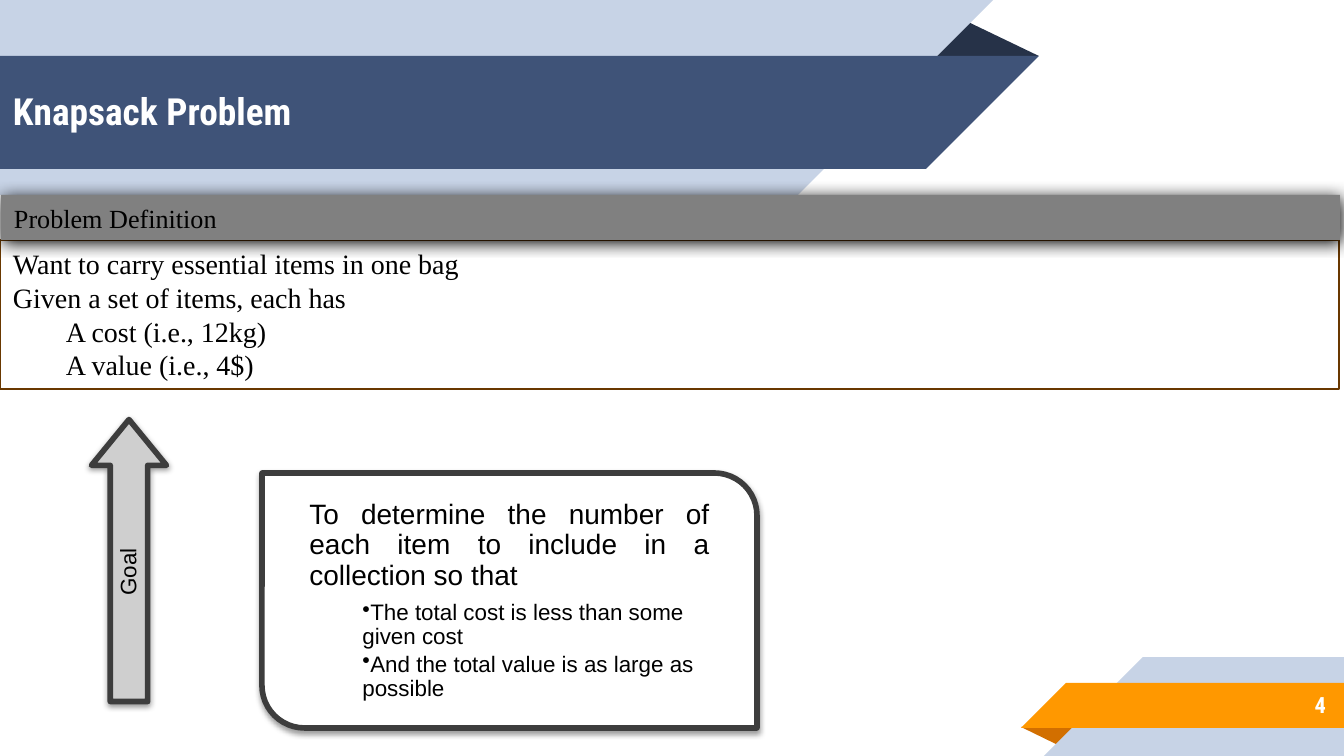
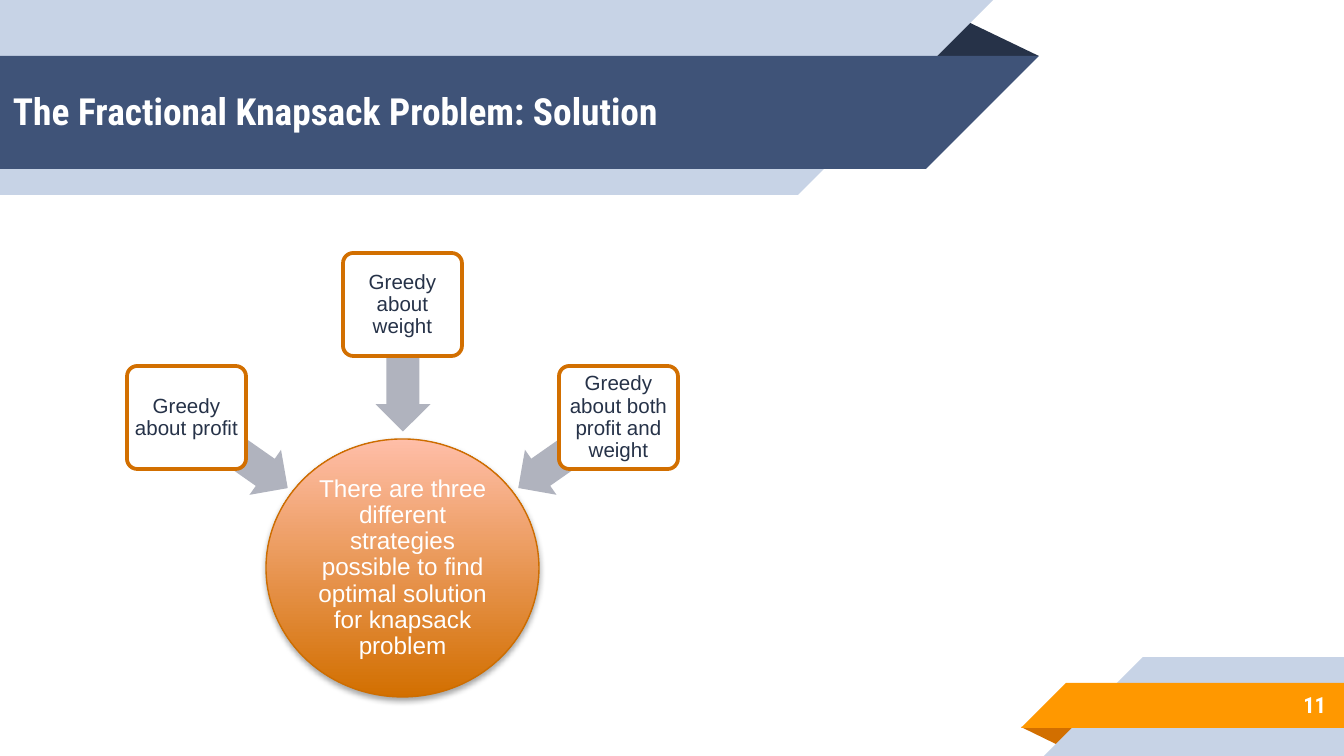
from lxml.etree import SubElement
from pptx import Presentation
from pptx.dml.color import RGBColor
from pptx.enum.shapes import MSO_SHAPE as Shape
from pptx.enum.text import MSO_ANCHOR as Anchor, PP_ALIGN as Align
from pptx.oxml.ns import qn
from pptx.util import Emu, Pt

EMU_PER_PX = 9144000 / 1344
WIDTH, HEIGHT = 1344, 756

WHITE, BLACK = "FFFFFF", "000000"
PALE, BLUE, NAVY = "C7D3E6", "3F5378", "263248"
ORANGE, RUST = "FF9800", "D26F00"
CHARCOAL = "3D3D3D"
HEADING, SANS, SERIF = "Roboto Condensed", "Arial", "Times New Roman"

# Polygons from back to front: colour and corner points
RIBBONS = [
    (NAVY, [(962, 19), (1039, 56), (925, 56)]),
    (PALE, [(0, 0), (993, 0), (798, 195), (0, 195)]),
    (BLUE, [(0, 56), (1039, 56), (926, 169), (0, 169)]),
    (RUST, [(1021, 727), (1079, 727), (1060, 746)]),
    (PALE, [(1143, 657), (1344, 657), (1344, 756), (1044, 756)]),
    (ORANGE, [(1066, 683), (1344, 683), (1344, 728), (1021, 728)]),
]


def px(value):
    return Emu(round(value * EMU_PER_PX))


def rgb(color):
    return RGBColor.from_string(color)


def set_frame(shape, margins, anchor):
    """Margins are left, top, right and bottom in px."""
    frame = shape.text_frame
    frame.word_wrap = True
    frame.vertical_anchor = anchor
    (frame.margin_left, frame.margin_top,
     frame.margin_right, frame.margin_bottom) = map(px, margins)


def write(shape, text, *, size, font=SANS, color=BLACK, bold=False,
          align=Align.LEFT, spacing=None, after=0, indent=0, bullet=None):
    """Append one paragraph; after is a share of the text size."""
    frame = shape.text_frame
    paragraph = frame.add_paragraph() if frame.text else frame.paragraphs[0]
    paragraph.alignment = align
    paragraph.line_spacing = spacing
    paragraph.space_after = Pt(size * after)
    run = paragraph.add_run()
    run.text = text
    run.font.name, run.font.size, run.font.bold = font, Pt(size), bold
    run.font.color.rgb = rgb(color)
    if indent:
        properties = paragraph._p.get_or_add_pPr()
        properties.set("marL", str(px(indent)))
        properties.set("indent", "0")
        if bullet:
            SubElement(properties, qn("a:buChar"), char=bullet)


def paint(shape, fill=None, line=None, line_width=1):
    shape.shadow.inherit = False
    if fill:
        shape.fill.solid()
        shape.fill.fore_color.rgb = rgb(fill)
    else:
        shape.fill.background()
    if line:
        shape.line.color.rgb = rgb(line)
        shape.line.width = Pt(line_width)
        SubElement(shape.line._get_or_add_ln(), qn("a:round"))
    else:
        shape.line.fill.background()


def cast_shadow(shape, opacity, blur, distance):
    """Black shadow falling downwards; opacity in percent, lengths in points."""
    effects = shape._element.spPr.find(qn("a:effectLst"))
    shadow = SubElement(effects, qn("a:outerShdw"), blurRad=str(Pt(blur)),
                        dist=str(Pt(distance)), dir="5400000", rotWithShape="0")
    color = SubElement(shadow, qn("a:srgbClr"), val=BLACK)
    SubElement(color, qn("a:alpha"), val=str(opacity * 1000))


def add_block(slide, kind, box, *, adjust=(), rotation=0,
              margins=(13, 7, 13, 7), anchor=Anchor.MIDDLE, **paint_options):
    shape = slide.shapes.add_shape(kind, *map(px, box))
    for index, value in enumerate(adjust):
        shape.adjustments[index] = value
    shape.rotation = rotation
    paint(shape, **paint_options)
    set_frame(shape, margins, anchor)
    return shape


def add_label(slide, box, text, **text_options):
    label = slide.shapes.add_textbox(*map(px, box))
    set_frame(label, (13, 13, 13, 13), Anchor.MIDDLE)
    write(label, text, font=HEADING, color=WHITE, bold=True, **text_options)


def add_ribbon(slide, color, points):
    builder = slide.shapes.build_freeform(*points[0], scale=EMU_PER_PX)
    builder.add_line_segments(points[1:], close=True)
    paint(builder.convert_to_shape(), fill=color)


def add_themed_slide(presentation, title, number):
    slide = presentation.slides.add_slide(presentation.slide_layouts[6])
    for color, points in RIBBONS:
        add_ribbon(slide, color, points)
    add_label(slide, (0, 54, 883, 113), title, size=20)
    add_label(slide, (1120, 681, 219, 47), str(number), size=12, align=Align.RIGHT)
    return slide


def add_goal(slide):
    tight = dict(spacing=0.9)
    card = add_block(slide, Shape.ROUND_2_DIAG_RECTANGLE, (262, 473, 495, 255),
                     adjust=(0, 0.167), margins=(35, 15, 35, 15),
                     anchor=Anchor.TOP, fill=WHITE, line=CHARCOAL, line_width=3)
    write(card, "To determine the number of each item to include in a "
          "collection so that", size=15, align=Align.JUSTIFY, after=0.35, **tight)
    for condition in ("The total cost is less than some given cost",
                      "And the total value is as large as possible"):
        write(card, condition, size=12, after=0.15, indent=53, bullet="•", **tight)

    arrow = add_block(slide, Shape.RIGHT_ARROW, (-12, 523, 282, 75),
                      adjust=(0.5, 0.61), rotation=270, margins=(7, 0, 7, 0),
                      fill="CFCFCF", line=CHARCOAL, line_width=3)
    write(arrow, "Goal", size=12, align=Align.CENTER, **tight)
    for shape in (card, arrow):
        cast_shadow(shape, 38, 3.1, 1.6)


def add_definition(slide):
    body = add_block(slide, Shape.RECTANGLE, (0, 240, 1339, 149),
                     anchor=Anchor.TOP, line="693800", line_width=0.75)
    for text, indent in (("Want to carry essential items in one bag", 0),
                         ("Given a set of items, each has", 0),
                         ("A cost (i.e., 12kg)", 53),
                         ("A value (i.e., 4$)", 53)):
        write(body, text, size=15, font=SERIF, indent=indent)
    header = add_block(slide, Shape.RECTANGLE, (1, 195, 1339, 45),
                       anchor=Anchor.TOP, fill="808080")
    write(header, "Problem Definition", size=14, font=SERIF)
    cast_shadow(header, 100, 8.5, 1)


def add_strategies(slide):
    centred = dict(align=Align.CENTER, spacing=0.9)
    circle = add_block(slide, Shape.OVAL, (266, 439, 273, 258),
                       margins=(1, 1, 1, 1), line="CD6D00", line_width=0.75)
    circle.fill.gradient()
    circle.fill.gradient_angle = 90
    for stop, color in zip(circle.fill.gradient_stops, (RUST, "FFBEA8")):
        stop.color.rgb = rgb(color)
    cast_shadow(circle, 35, 3.1, 1.8)
    write(circle, "There are three different strategies possible to find "
          "optimal solution for knapsack problem", size=13, color=WHITE, **centred)

    middle = 403
    strategies = [  # side, text, card top, arrow centre y, length, rotation
        (-1, "Greedy about profit", 366, 452, 124, 215),
        (0, "Greedy about weight", 253, 367, 128, 270),
        (1, "Greedy about both profit and weight", 366, 452, 124, 325),
    ]
    for side, text, top, arrow_y, length, rotation in strategies:
        arrow_x = middle + side * 166
        add_block(slide, Shape.LEFT_ARROW,
                  (arrow_x - length / 2, arrow_y - 27, length, 55),
                  adjust=(0.6, 0.5), rotation=rotation, fill="B0B3BE")
        card = add_block(slide, Shape.ROUNDED_RECTANGLE,
                         (middle + side * 216 - 60, top, 119, 103),
                         adjust=(0.1,), margins=(2, 2, 2, 2),
                         fill=WHITE, line=RUST, line_width=2)
        write(card, text, size=11, color=NAVY, **centred)


def main():
    presentation = Presentation()
    presentation.slide_width, presentation.slide_height = px(WIDTH), px(HEIGHT)

    problem = add_themed_slide(presentation, "Knapsack Problem", 4)
    add_goal(problem)
    add_definition(problem)

    solution = add_themed_slide(
        presentation, "The Fractional Knapsack Problem: Solution", 11)
    add_strategies(solution)

    presentation.save("out.pptx")


if __name__ == "__main__":
    main()
